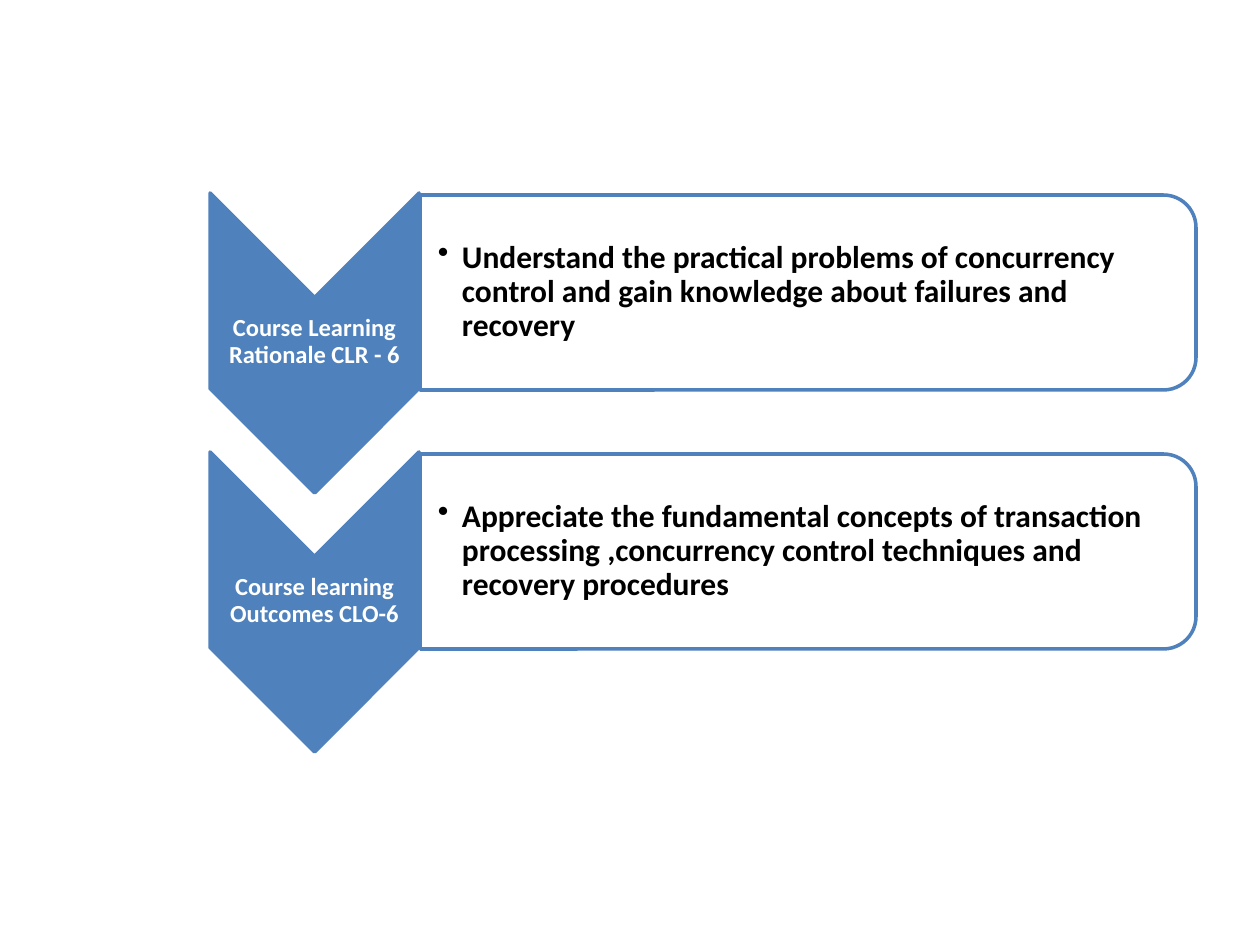
from lxml import etree
from pptx import Presentation
from pptx import util as u
from pptx.dml.color import RGBColor
from pptx.enum import shapes, text
from pptx.oxml import ns

SCALE = u.Inches(1) / 126
BLUE, WHITE, BLACK = "4F81BD", "FFFFFF", "000000"
ROW_PITCH = 259
ROWS = [
    ("Course Learning Rationale CLR - 6",
     "Understand the practical problems of concurrency control and gain "
     "knowledge about failures and recovery"),
    ("Course learning Outcomes CLO-6",
     "Appreciate the fundamental concepts of transaction processing "
     ",concurrency control techniques and recovery procedures"),
]


def px(length):
    return u.Emu(round(length * SCALE))


def color(value):
    return RGBColor.from_string(value)


def add_turned_shape(slide, kind, left, top, width, height, fill, opacity=100):
    """Add a shape turned by 90 degrees that covers the given box once turned."""
    shift = (width - height) / 2
    shape = slide.shapes.add_shape(
        kind, px(left + shift), px(top - shift), px(height), px(width))
    shape.rotation = 90
    shape.shadow.inherit = False
    shape.fill.solid()
    shape.fill.fore_color.rgb = color(fill)
    if opacity < 100:
        fill_color = shape.fill._xPr.find(".//" + ns.qn("a:srgbClr"))
        etree.SubElement(fill_color, ns.qn("a:alpha"), val=str(opacity * 1000))
    shape.line.color.rgb = color(BLUE)
    shape.line.width = u.Pt(2)
    return shape


def add_text(slide, content, left, top, width, height, *, size, ink,
             align=text.PP_ALIGN.LEFT, left_inset=1, bullet_indent=0):
    box = slide.shapes.add_textbox(px(left), px(top), px(width), px(height))
    frame = box.text_frame
    frame.word_wrap = True
    frame.vertical_anchor = text.MSO_ANCHOR.MIDDLE
    frame.margin_left = px(left_inset)
    frame.margin_top = frame.margin_right = frame.margin_bottom = px(1)
    paragraph = frame.paragraphs[0]
    paragraph.alignment = align
    paragraph.line_spacing = 0.9
    run = paragraph.add_run()
    run.text = content
    run.font.name = "Calibri"
    run.font.size = u.Pt(size)
    run.font.bold = True
    run.font.color.rgb = color(ink)
    if bullet_indent:
        properties = paragraph._p.get_or_add_pPr()
        properties.set("marL", str(px(bullet_indent)))
        properties.set("indent", str(-px(bullet_indent)))
        etree.SubElement(properties, ns.qn("a:buChar"), char="•")


def add_chevron(slide, label, left, top, width, height):
    add_turned_shape(slide, shapes.MSO_SHAPE.CHEVRON,
                     left, top, width, height, BLUE)
    point = width // 2
    add_text(slide, label, left, top + point, width, height - 2 * point - 2,
             size=14, ink=WHITE, align=text.PP_ALIGN.CENTER)


def add_panel(slide, statement, left, top, width, height):
    add_turned_shape(slide, shapes.MSO_SHAPE.ROUND_2_SAME_RECTANGLE,
                     left, top, width, height, WHITE, opacity=90)
    add_text(slide, statement, left, top + 9, width - 10, height - 18,
             size=18, ink=BLACK, left_inset=18, bullet_indent=24)


def add_row(slide, label, statement, left, top):
    add_chevron(slide, label, left, top, 209, 300)
    add_panel(slide, statement, left + 210, top + 2, 776, 195)


def main():
    presentation = Presentation()
    presentation.slide_width = px(1260)
    presentation.slide_height = px(945)
    slide = presentation.slides.add_slide(presentation.slide_layouts[6])
    for index, (label, statement) in enumerate(ROWS):
        add_row(slide, label, statement, 210, 193 + index * ROW_PITCH)
    presentation.save("out.pptx")


if __name__ == "__main__":
    main()
